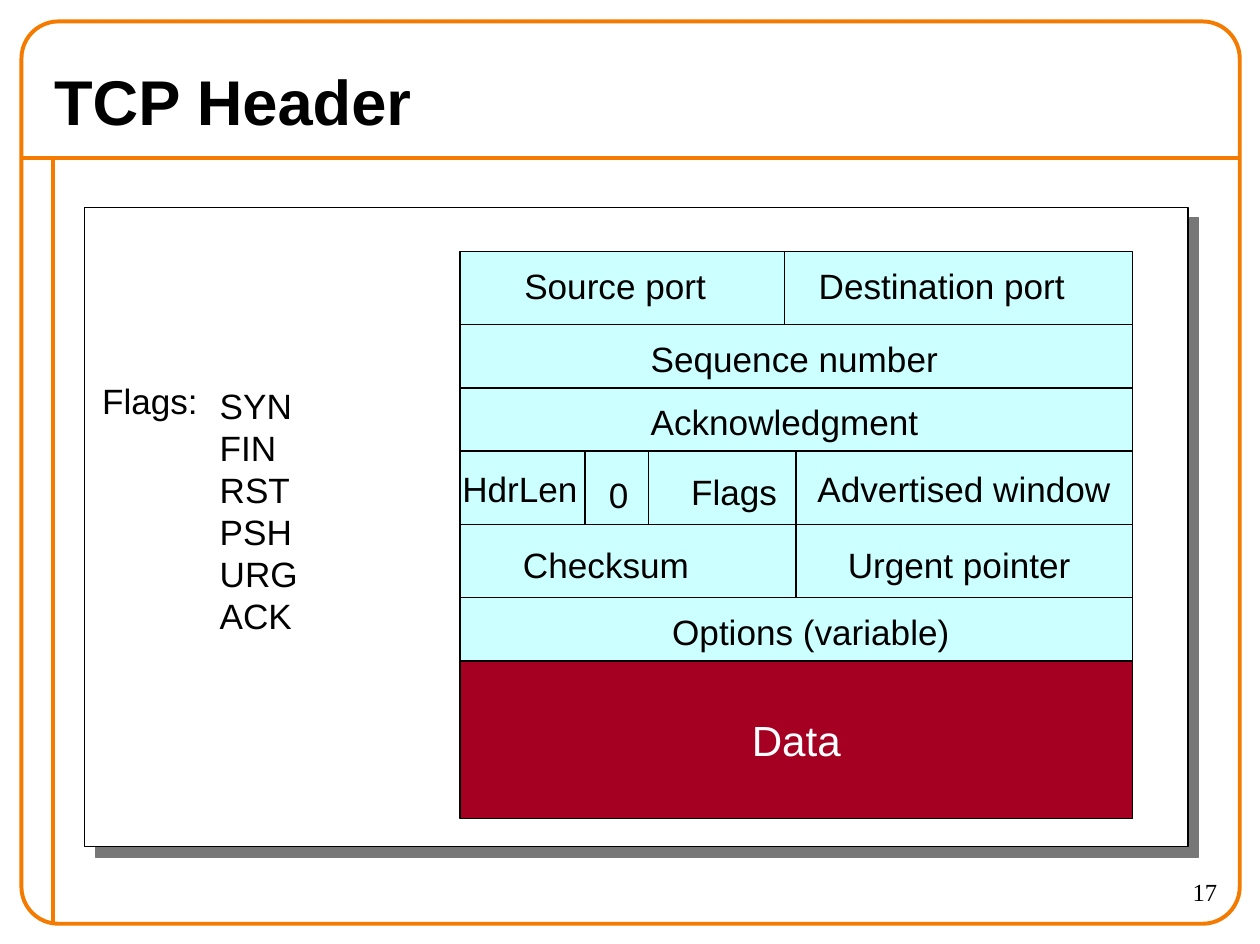
"""Builds a slide showing the layout of a TCP header."""
from lxml import etree
from pptx import Presentation
from pptx.dml.color import RGBColor
from pptx.enum.shapes import MSO_CONNECTOR, MSO_SHAPE
from pptx.enum.text import MSO_ANCHOR, MSO_AUTO_SIZE, PP_ALIGN
from pptx.oxml import parse_xml
from pptx.oxml.ns import nsdecls, qn
from pptx.util import Inches, Pt

RECT, ROUND = MSO_SHAPE.RECTANGLE, MSO_SHAPE.ROUNDED_RECTANGLE
LEFT, CENTER, RIGHT = PP_ALIGN.LEFT, PP_ALIGN.CENTER, PP_ALIGN.RIGHT
TOP, MIDDLE = MSO_ANCHOR.TOP, MSO_ANCHOR.MIDDLE
STRAIGHT = MSO_CONNECTOR.STRAIGHT

COLORS = {"orange": "F47A00", "black": "000000", "white": "FFFFFF",
          "cyan": "CCFFFF", "red": "A50021", "shadow": "777777"}

TITLE = "TCP Header"
PAGE = "17"
FLAGS = ["SYN", "FIN", "RST", "PSH", "URG", "ACK"]

TABLE_LEFT, TABLE_TOP, TABLE_RIGHT = 3.64, 1.99, 8.96
LABEL_HEIGHT = 0.44
# Row: height, column splits, inner dividers, labels (text, left, width, drop)
ROWS = [
    (0.58, [6.21], [], [("Source port", 4.05, 1.65, 0.05),
                        ("Destination port", 6.38, 2.16, 0.05)]),
    (0.5, [], [], [("Sequence number", 5.05, 2.49, 0.05)]),
    (0.5, [], [], [("Acknowledgment", 5.05, 2.34, 0.05)]),
    (0.58, [6.3], [4.63, 5.13], [("Advertised window", 6.37, 2.54, 0.08),
                                 ("HdrLen", 3.56, 1.16, 0.08),
                                 ("Flags", 5.37, 0.89, 0.1),
                                 ("0", 4.72, 0.36, 0.13)]),
    (0.58, [6.3], [], [("Checksum", 4.04, 1.53, 0.1),
                       ("Urgent pointer", 6.61, 1.98, 0.1)]),
    (0.5, [], [], [("Options (variable)", 5.22, 2.41, 0.05)]),
]
DATA_HEIGHT = 1.25

prs = Presentation()
prs.slide_width, prs.slide_height = Inches(9.97), Inches(7.47)
s = prs.slides.add_slide(prs.slide_layouts[6])


def rgb(name):
    """Return the named colour."""
    return RGBColor.from_string(COLORS[name])


def add_box(x, y, w, h, kind=RECT, fill=None, line=None, weight=0.75):
    """Add a preset shape without a shadow."""
    sp = s.shapes.add_shape(kind, Inches(x), Inches(y), Inches(w), Inches(h))
    sp.shadow.inherit = False
    if fill:
        sp.fill.solid()
        sp.fill.fore_color.rgb = rgb(fill)
    else:
        sp.fill.background()
    if line:
        sp.line.color.rgb = rgb(line)
        sp.line.width = Pt(weight)
    else:
        sp.line.fill.background()
    return sp


def add_line(x1, y1, x2, y2, color="black", weight=0.75):
    """Add a straight line without a shadow."""
    line = s.shapes.add_connector(STRAIGHT, Inches(x1), Inches(y1),
                                  Inches(x2), Inches(y2))
    line.line.color.rgb = rgb(color)
    line.line.width = Pt(weight)
    etree.SubElement(line._element.spPr, qn("a:effectLst"))


def write(sp, *lines, size=20, font="Arial", color="black", bold=False,
          align=LEFT, anchor=TOP, wrap=False):
    """Write one paragraph per line into a shape."""
    tf = sp.text_frame
    tf.word_wrap = wrap
    tf.auto_size = MSO_AUTO_SIZE.NONE
    tf.vertical_anchor = anchor
    for i, text in enumerate(lines):
        p = tf.add_paragraph() if i else tf.paragraphs[0]
        p.alignment = align
        r = p.add_run()
        r.text = text
        r.font.size, r.font.name, r.font.bold = Pt(size), font, bold
        r.font.color.rgb = rgb(color)


def add_text(x, y, w, h, *lines, **style):
    """Add a text box holding the lines."""
    sp = s.shapes.add_textbox(Inches(x), Inches(y), Inches(w), Inches(h))
    write(sp, *lines, **style)


def add_shadow(sp):
    """Give a shape a hard shadow to the lower right."""
    effects = sp._element.spPr.find(qn("a:effectLst"))
    effects.append(parse_xml(
        f'<a:outerShdw {nsdecls("a")} dist="{Pt(8.5)}" dir="2700000" '
        f'algn="ctr" rotWithShape="0"><a:srgbClr val="{COLORS["shadow"]}"/>'
        '</a:outerShdw>'))


add_line(0.17, 1.25, 9.81, 1.25, "orange", 2.25)
add_line(0.42, 1.25, 0.42, 7.31, "orange", 2.25)
frame = add_box(0.17, 0.17, 9.64, 7.14, ROUND, line="orange", weight=2.25)
frame.adjustments[0] = 0.041
add_text(8.73, 6.89, 1, 0.42, PAGE, size=14, font="Times New Roman",
         align=RIGHT, wrap=True)
add_shadow(add_box(0.67, 1.64, 8.73, 5.06, fill="white", line="black"))
add_text(0.33, 0.42, 8.8, 0.75, TITLE, size=36, bold=True, anchor=MIDDLE,
         wrap=True)

top = TABLE_TOP
for height, splits, dividers, labels in ROWS:
    edges = [TABLE_LEFT, *splits, TABLE_RIGHT]
    for left, right in zip(edges, edges[1:]):
        add_box(left, top, right - left, height, fill="cyan", line="black")
    for x in dividers:
        add_line(x, top, x, top + height)
    for text, left, width, drop in labels:
        add_text(left, top + drop, width, LABEL_HEIGHT, text,
                 wrap=text == "HdrLen")
    top += height

data = add_box(TABLE_LEFT, top, TABLE_RIGHT - TABLE_LEFT, DATA_HEIGHT,
               fill="red", line="black")
write(data, "Data", size=24, color="white", align=CENTER, anchor=MIDDLE)

add_text(0.71, 2.95, 0.97, LABEL_HEIGHT, "Flags:")
add_text(1.64, 2.99, 0.83, 2.12, *FLAGS)

prs.save("out.pptx")
